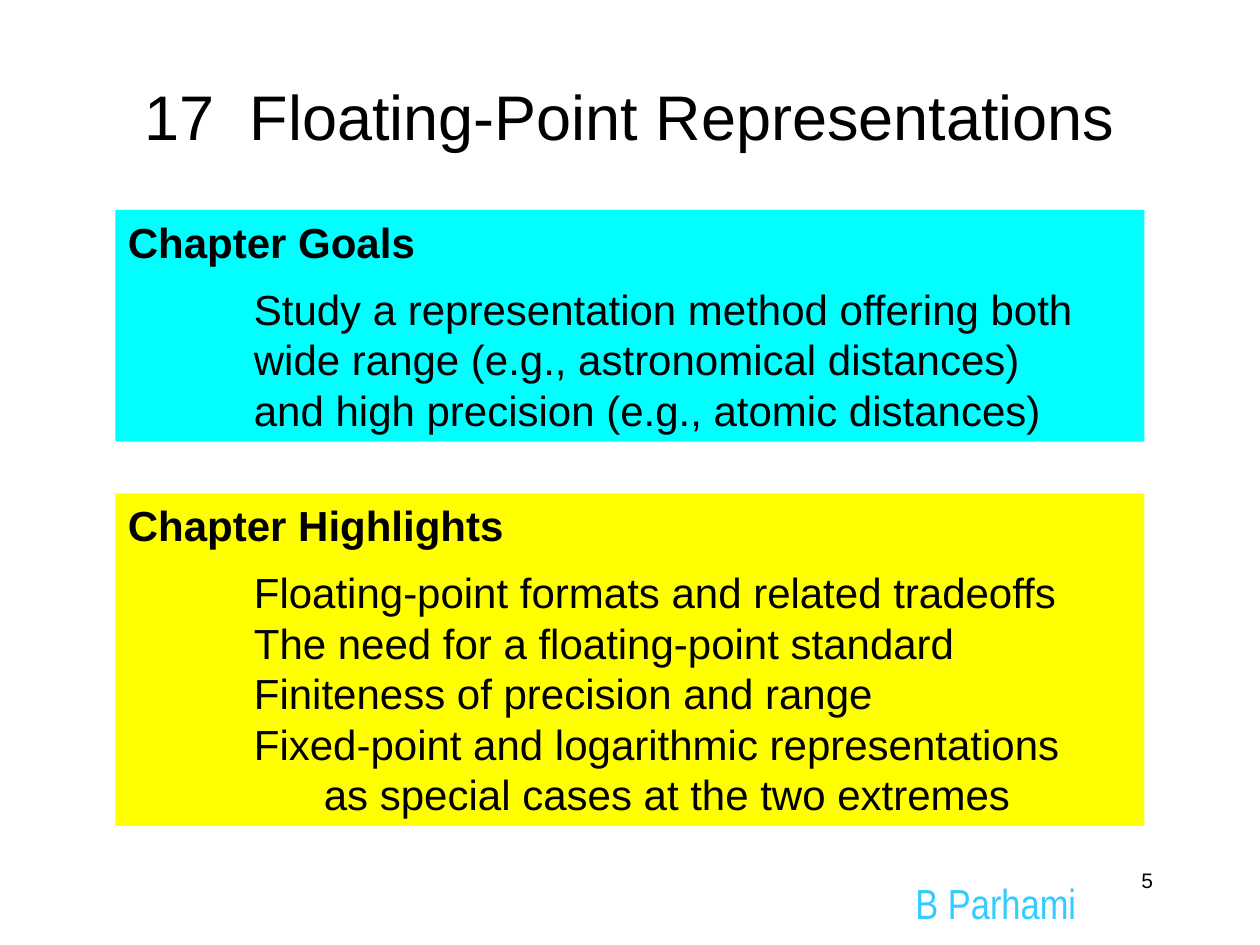
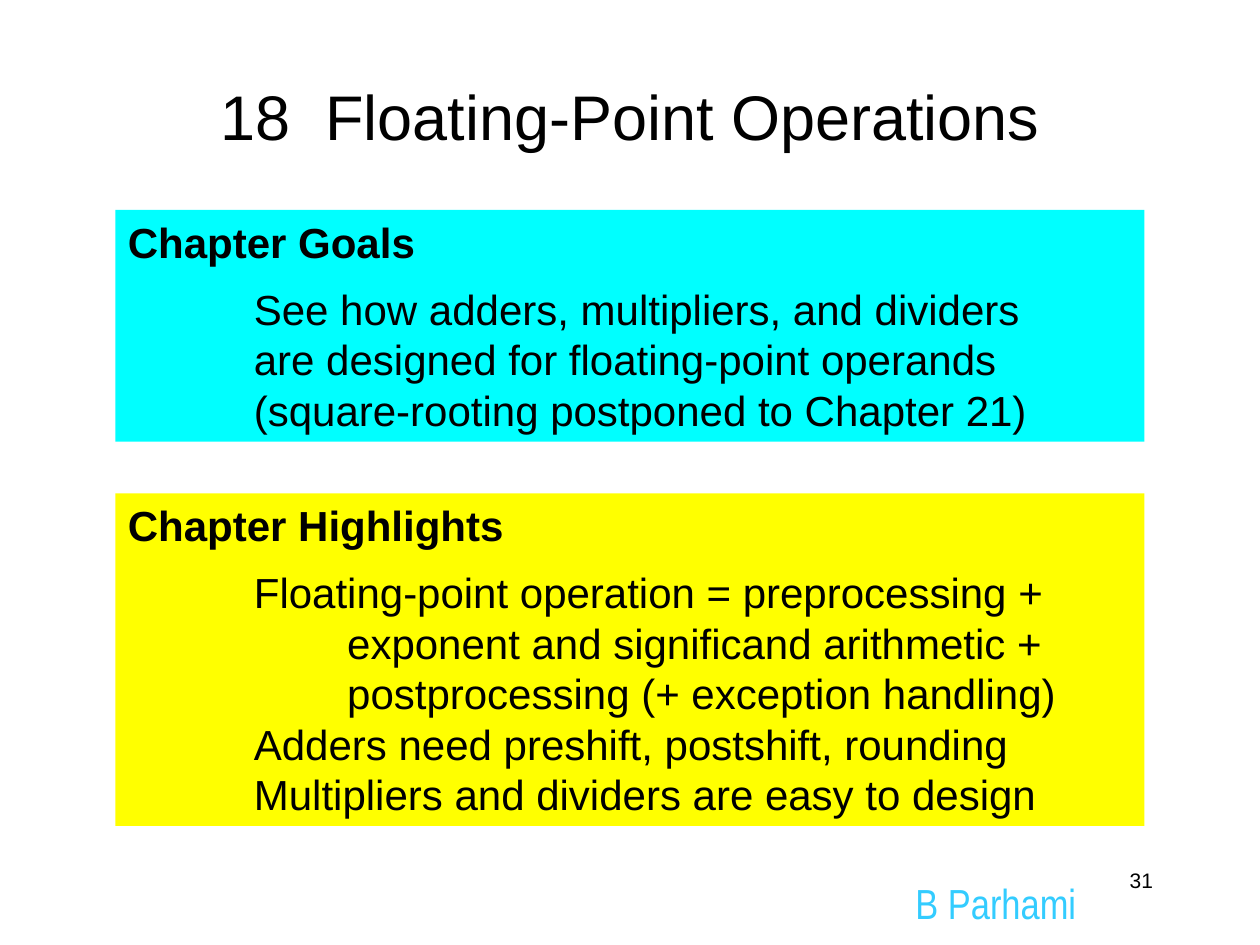
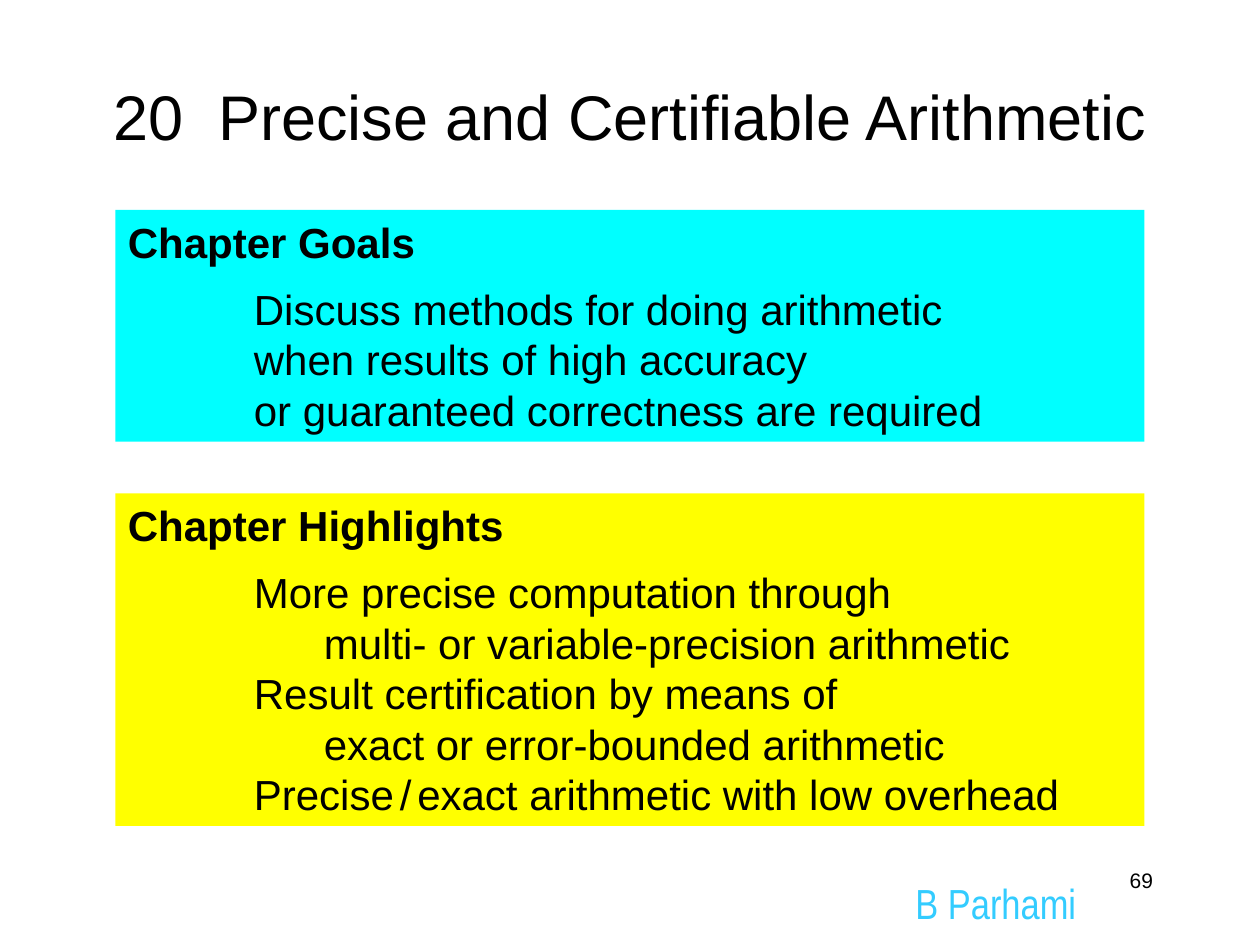
from pptx import Presentation
from pptx.dml.color import RGBColor
from pptx.enum.shapes import MSO_SHAPE as Shape
from pptx.enum.text import MSO_ANCHOR as Anchor, MSO_AUTO_SIZE as AutoSize, PP_ALIGN as Align
from pptx.util import Pt

# Shared style
BLACK, CYAN, YELLOW, SKY = "000000", "00FFFF", "FFFF00", "33CCFF"
PANEL_LEFT, PANEL_WIDTH = 66, 588
LINE_INDENT = 72
BODY_SIZE, THIN_SIZE = 24, 12

# Each highlight line is (extra indent, text); "|" marks a thin space
CHAPTERS = [
    ("17  Floating-Point Representations", "5",
     [(0, "Study a representation method offering both"),
      (0, "wide range (e.g., astronomical distances)"),
      (0, "and high precision (e.g., atomic distances)")],
     [(0, "Floating-point formats and related tradeoffs"),
      (0, "The need for a floating-point standard"),
      (0, "Finiteness of precision and range"),
      (0, "Fixed-point and logarithmic representations"),
      (40, "as special cases at the two extremes")]),
    ("18  Floating-Point Operations", "31",
     [(0, "See how adders, multipliers, and dividers"),
      (0, "are designed for floating-point operands"),
      (0, "(square-rooting postponed to Chapter 21)")],
     [(0, "Floating-point operation = preprocessing +"),
      (53.33, "exponent and significand arithmetic +"),
      (53.33, "postprocessing (+ exception handling)"),
      (0, "Adders need preshift, postshift, rounding"),
      (0, "Multipliers and dividers are easy to design")]),
    ("20  Precise and Certifiable Arithmetic", "69",
     [(0, "Discuss methods for doing arithmetic"),
      (0, "when results of high accuracy"),
      (0, "or guaranteed correctness are required")],
     [(0, "More precise computation through"),
      (40, "multi- or variable-precision arithmetic"),
      (0, "Result certification by means of"),
      (40, "exact or error-bounded arithmetic"),
      (0, "Precise|/|exact arithmetic with low overhead")]),
]


def rgb(hex_color):
    return RGBColor.from_string(hex_color)


def add_run(paragraph, text, size, color=BLACK, font="Arial", bold=False):
    run = paragraph.add_run()
    run.text = text
    run.font.name, run.font.size, run.font.bold = font, Pt(size), bold
    run.font.color.rgb = rgb(color)


def add_title(slide, text):
    title = slide.shapes.title
    title.left, title.top, title.width, title.height = Pt(30), Pt(30), Pt(660), Pt(72)
    frame = title.text_frame
    frame.auto_size = AutoSize.NONE
    frame.vertical_anchor = Anchor.MIDDLE
    heading = frame.paragraphs[0]
    heading.alignment = Align.CENTER
    add_run(heading, text, 36)


def add_panel(slide, top, height, color, heading, lines):
    panel = slide.shapes.add_shape(
        Shape.RECTANGLE, Pt(PANEL_LEFT), Pt(top), Pt(PANEL_WIDTH), Pt(height))
    panel.shadow.inherit = False
    panel.fill.solid()
    panel.fill.fore_color.rgb = rgb(color)
    panel.line.fill.background()
    frame = panel.text_frame
    frame.word_wrap = True
    frame.vertical_anchor = Anchor.TOP
    frame.paragraphs[0].alignment = Align.LEFT
    add_run(frame.paragraphs[0], heading, BODY_SIZE, bold=True)
    for index, (extra, text) in enumerate(lines):
        line = frame.add_paragraph()
        line.alignment = Align.LEFT
        line.space_before = Pt(0 if index else 9.6)
        # Left margin stands on the paragraph properties
        line._p.get_or_add_pPr().set("marL", str(Pt(LINE_INDENT + extra)))
        for part_index, part in enumerate(text.split("|")):
            if part_index:
                add_run(line, " ", THIN_SIZE)
            add_run(line, part, BODY_SIZE)


def add_label(slide, left, top, width, height, text, size, align, **style):
    label = slide.shapes.add_textbox(Pt(left), Pt(top), Pt(width), Pt(height))
    label.text_frame.word_wrap = True
    label.text_frame.paragraphs[0].alignment = align
    add_run(label.text_frame.paragraphs[0], text, size, **style)
    return label


def main():
    deck = Presentation()
    deck.slide_width, deck.slide_height = Pt(720), Pt(540)
    layout = deck.slide_layouts.get_by_name("Title Only")

    for title, number, goals, highlights in CHAPTERS:
        slide = deck.slides.add_slide(layout)
        add_title(slide, title)
        add_panel(slide, 120, 132.5, CYAN, "Chapter Goals", goals)
        add_panel(slide, 282, 190, YELLOW, "Chapter Highlights", highlights)
        add_label(slide, 516, 492, 150, 36, number, 12, Align.RIGHT)

    # The author line moves to the layout, so every slide shows it
    author = add_label(deck.slides[0], 516, 498, 110, 30, "B Parhami", 24, Align.LEFT,
                       color=SKY, font="Arial Narrow")
    layout.shapes.element.append(author.element)

    deck.save("out.pptx")


if __name__ == "__main__":
    main()
